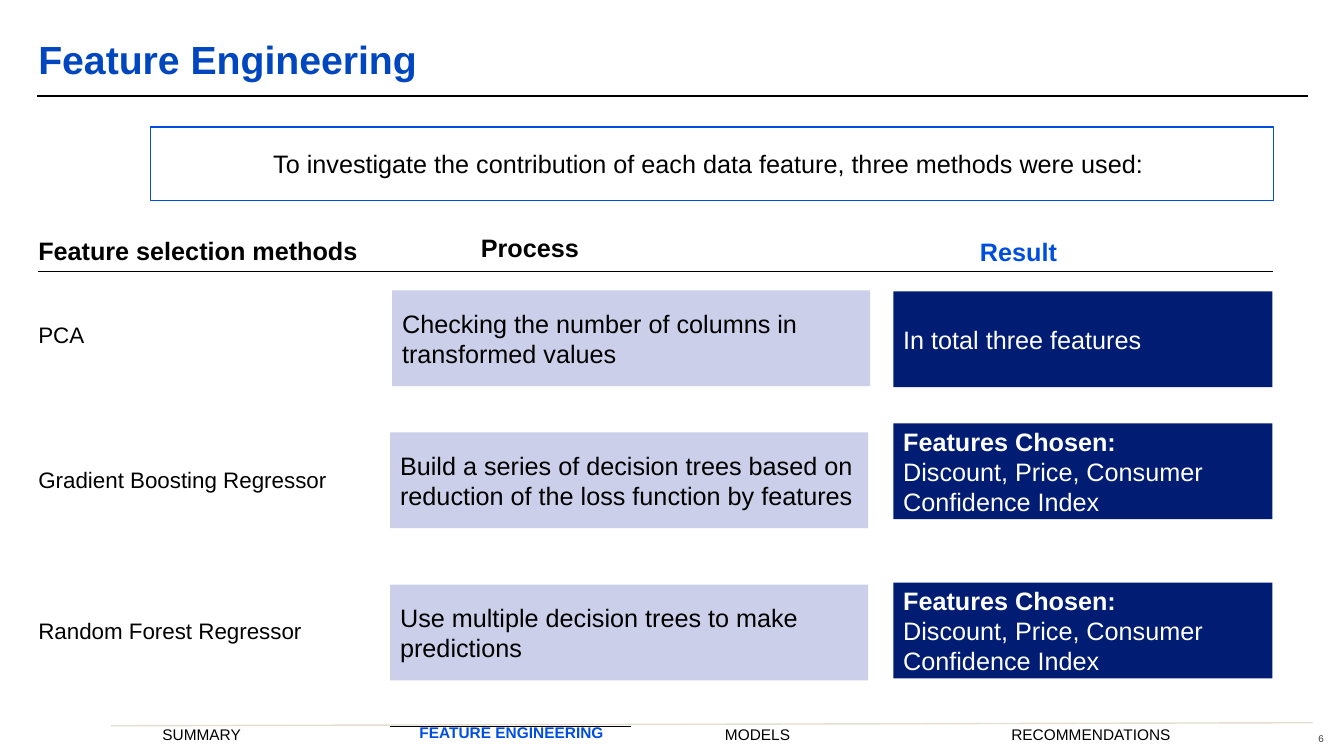
"""Build the Feature Engineering slide comparing three feature selection methods."""
from dataclasses import dataclass

from lxml.etree import SubElement
from pptx import Presentation
from pptx.dml.color import RGBColor
from pptx.enum.shapes import MSO_CONNECTOR, MSO_SHAPE
from pptx.enum.text import MSO_ANCHOR, PP_ALIGN
from pptx.oxml.ns import qn
from pptx.util import Inches, Pt


@dataclass(frozen=True)
class Theme:
    font: str = "Arial"
    title_blue: str = "0046BE"
    accent: str = "004EDF"
    navy: str = "001D73"
    lavender: str = "CBCFE9"
    beige: str = "E3DED1"
    gray: str = "404040"
    black: str = "000000"
    white: str = "FFFFFF"
    title_size: int = 28
    body_size: int = 18
    method_size: int = 16
    footer_size: int = 11
    number_size: int = 7


theme = Theme()
presentation = Presentation()
presentation.slide_width = Inches(13.33)
presentation.slide_height = Inches(7.5)
slide = presentation.slides.add_slide(presentation.slide_layouts[5])


def write(shape, lines, size, color, bold_lines=0, align=PP_ALIGN.LEFT, margins=None):
    """Fill a shape with paragraphs, the first bold_lines of them bold."""
    frame = shape.text_frame
    frame.word_wrap = True
    if margins:
        frame.margin_left, frame.margin_top, frame.margin_right, frame.margin_bottom = map(Inches, margins)
    frame.text = "\n".join(lines)
    for index, paragraph in enumerate(frame.paragraphs):
        paragraph.alignment = align
        paragraph.font.name = theme.font
        paragraph.font.size = Pt(size)
        paragraph.font.bold = index < bold_lines
        paragraph.font.color.rgb = RGBColor.from_string(color)
    return frame


def add_rule(start_x, start_y, end_x, end_y, color, width):
    """Draw a straight line without a shadow."""
    rule = slide.shapes.add_connector(
        MSO_CONNECTOR.STRAIGHT, Inches(start_x), Inches(start_y), Inches(end_x), Inches(end_y))
    rule.line.color.rgb = RGBColor.from_string(color)
    rule.line.width = Pt(width)
    SubElement(rule._element.spPr, qn("a:effectLst"))


flush = (0, 0, 0, 0)

title = slide.shapes.title
title.left, title.top, title.width, title.height = map(Inches, (0.38, 0.32, 12.6, 0.61))
title_frame = write(title, ["Feature Engineering"], theme.title_size, theme.title_blue, 1, margins=flush)
title_frame.vertical_anchor = MSO_ANCHOR.MIDDLE
title_frame.paragraphs[0].line_spacing = 0.8

for rule in [
    (0.37, 0.95, 12.97, 0.95, theme.black, 1.25),
    (0.38, 2.69, 12.63, 2.69, theme.black, 0.25),
    (1.1, 7.2, 13.02, 7.17, theme.beige, 1),
    (3.87, 7.21, 6.26, 7.21, theme.black, 1),
]:
    add_rule(*rule)

intro = slide.shapes.add_shape(MSO_SHAPE.RECTANGLE, Inches(1.49), Inches(1.26), Inches(11.14), Inches(0.73))
intro.shadow.inherit = False
intro.fill.background()
intro.line.color.rgb = RGBColor.from_string(theme.accent)
intro.line.width = Pt(1)
write(intro, ["To investigate the contribution of each data feature, three methods were used: "],
      theme.body_size, theme.black, align=PP_ALIGN.CENTER)

for heading, left, top, color in [
    ("Feature selection methods", 0.38, 2.33, theme.black),
    ("Process", 4.77, 2.31, theme.black),
    ("Result", 9.72, 2.34, theme.accent),
]:
    heading_box = slide.shapes.add_textbox(Inches(left), Inches(top), Inches(3.37), Inches(0.3))
    write(heading_box, [heading], theme.body_size, color, 1, margins=flush)

methods = [
    ("PCA", 3.19,
     "Checking the number of columns in transformed values", 3.89, 2.88,
     ["In total three features"], 2.89),
    ("Gradient Boosting Regressor", 4.62,
     "Build a series of decision trees based on reduction of the loss function by features", 3.87, 4.29,
     ["Features Chosen:", "Discount, Price, Consumer Confidence Index"], 4.2),
    ("Random Forest Regressor", 6.12,
     "Use multiple decision trees to make predictions", 3.87, 5.8,
     ["Features Chosen:", "Discount, Price, Consumer Confidence Index"], 5.78),
]
for method, method_top, process, process_left, process_top, result, result_top in methods:
    method_box = slide.shapes.add_textbox(Inches(0.38), Inches(method_top), Inches(3.49), Inches(0.27))
    write(method_box, [method], theme.method_size, theme.black, margins=flush)
    for lines, left, top, width, fill, color in [
        ([process], process_left, process_top, 4.74, theme.lavender, theme.black),
        (result, 8.86, result_top, 3.76, theme.navy, theme.white),
    ]:
        card = slide.shapes.add_shape(
            MSO_SHAPE.RECTANGLE, Inches(left), Inches(top), Inches(width), Inches(0.95))
        card.shadow.inherit = False
        card.fill.solid()
        card.fill.fore_color.rgb = RGBColor.from_string(fill)
        card.line.fill.background()
        write(card, lines, theme.body_size, color, len(lines) - 1)

for section, left, top, height, spacing, color, bold_lines in [
    ("SUMMARY", 1.61, 6.96, 0.48, 13.2, theme.black, 0),
    ("FEATURE ENGINEERING", 4.16, 7.01, 0.43, 10.2, theme.accent, 1),
    ("MODELS", 7.19, 6.96, 0.48, 13.2, theme.black, 0),
    ("RECOMMENDATIONS", 10.03, 6.96, 0.48, 13.2, theme.black, 0),
]:
    section_box = slide.shapes.add_textbox(Inches(left), Inches(top), Inches(2.41), Inches(height))
    section_frame = write(section_box, [section], theme.footer_size, color, bold_lines, margins=(0, 0.28, 0, 0))
    section_frame.paragraphs[0].line_spacing = Pt(spacing)

number_box = slide.shapes.add_textbox(Inches(12.9), Inches(7.27), Inches(0.23), Inches(0.16))
write(number_box, ["6"], theme.number_size, theme.gray, align=PP_ALIGN.RIGHT, margins=flush)

presentation.save("out.pptx")
